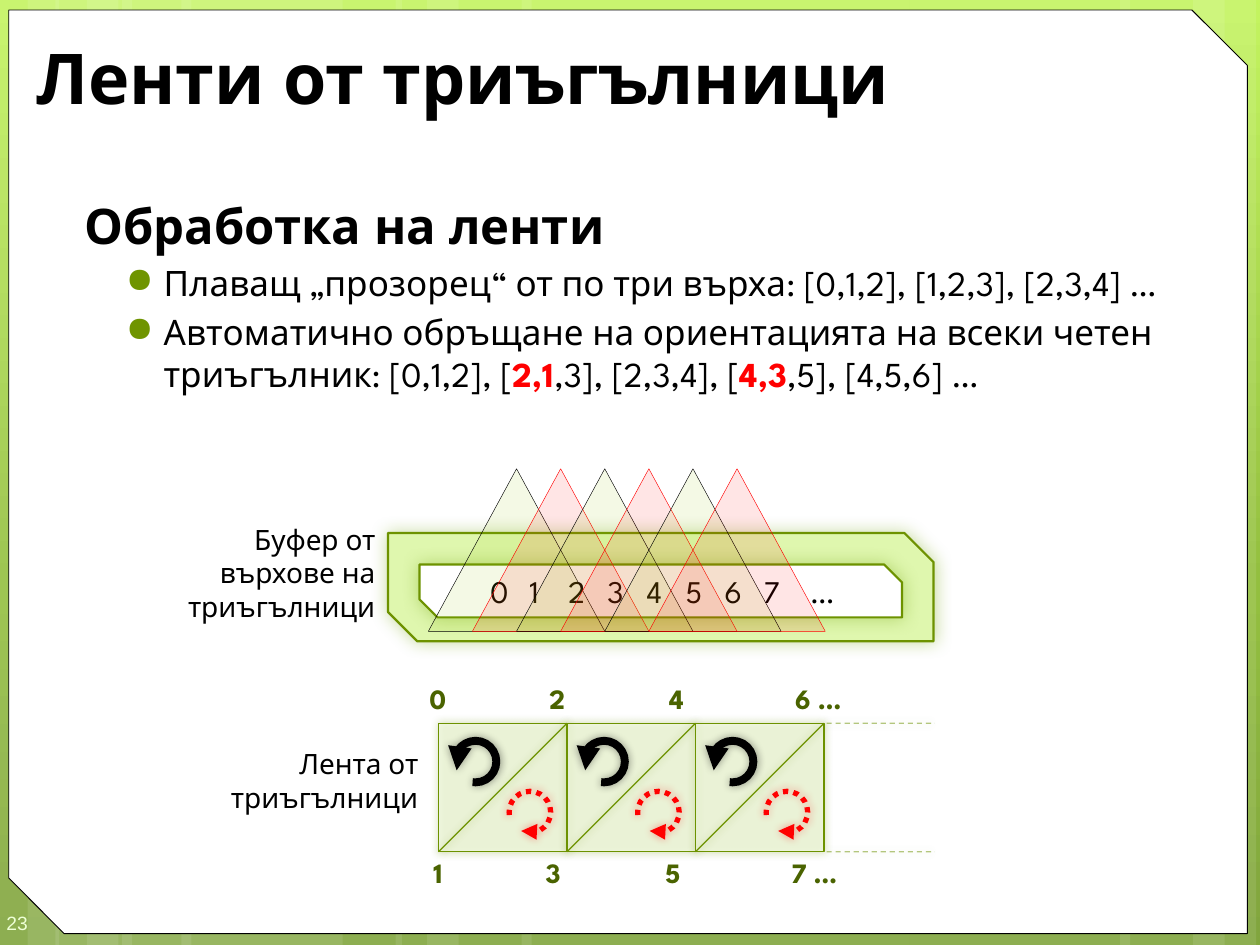
import pptx
import pptx.util
import pptx.dml.color
import pptx.enum.shapes
import pptx.enum.text
import pptx.oxml
import pptx.oxml.ns

Inches = pptx.util.Inches
Pt = pptx.util.Pt
KIND = pptx.enum.shapes.MSO_SHAPE
ALIGN = pptx.enum.text.PP_ALIGN
ANCHOR = pptx.enum.text.MSO_ANCHOR
qn = pptx.oxml.ns.qn

# Content
FACE = "League Spartan"
GREEN, RED, BLACK, WHITE = "6D9200", "FF0000", "000000", "FFFFFF"
PALE = "6F9400"
SKY = [(0, "C3F35F"), (62, "93BF3F"), (100, "81A53E")]
BANDS = [(0.97, 1.75), (0, 0.47), (0.22, 0.83), (1.44, 1.75), (0.44, 0.5),
         (0.69, 0.83), (7.22, 1.75), (9.47, 0.5), (8.89, 0.83),
         (4.14, 3.08), (3.14, 0.5), (3.39, 0.83)]
TITLE = "Ленти от триъгълници"
HEAD = "Обработка на ленти"
POINTS = [
    [("Плаващ „прозорец“ от по три върха: [0,1,2], [1,2,3], [2,3,4] …", 0)],
    [("Автоматично обръщане на ориентацията на всеки четен триъгълник: "
      "[0,1,2], [", 0), ("2,1", 1), (",3], [2,3,4], [", 0), ("4,3", 1),
     (",5], [4,5,6] …", 0)],
]
BUFFER = ["0", "1", "2", "3", "4", "5", "6", "7", "…"]
ROWS = [  # left, top, labels, tab stops
    (3.41, 5.33, ["0", "2", "4", "6 …"], [0.95, 1.9, 2.9]),
    (3.44, 6.71, ["1", "3", "5", "7 …"], [0.89, 1.84, 2.84]),
]
NOTES = [((1.67, 5.98, 1.65, 0.43), "Лента от триъгълници"),
         ((1.33, 4.14, 1.65, 0.81), "Буфер от върхове на триъгълници")]


def rgb(code):
    return pptx.dml.color.RGBColor.from_string(code)


def add(host, tag, **attrs):
    node = host.makeelement(qn(tag), {k: str(v) for k, v in attrs.items()})
    host.append(node)
    return node


def paint(fill, code, alpha=100):
    fill.solid()
    fill.fore_color.rgb = rgb(code)
    if alpha < 100:
        node = fill._xPr.find(qn("a:solidFill"))[0]
        add(node, "a:alpha", val=alpha * 1000)


def stroke(item, code, width, dash=None, alpha=100, tail=False):
    paint(item.line.fill, code, alpha)
    item.line.width = Pt(width)
    ln = item.line._get_or_add_ln()
    if dash:
        add(ln, "a:prstDash", val=dash)
    if tail:
        add(ln, "a:tailEnd", type="triangle")


def glow(item, code=None, blur=5):
    pr = item._element.spPr
    for old in pr.findall(qn("a:effectLst")):
        pr.remove(old)
    box = add(pr, "a:effectLst")
    if code:
        shade = add(box, "a:outerShdw", blurRad=Pt(blur), dist=0, dir=0,
                    algn="ctr", rotWithShape=0)
        add(add(shade, "a:srgbClr", val=code), "a:alpha", val=40000)


def shape(kind, at, fill=None, line=None, adj=(), halo=None, turn=0):
    item = deck.shapes.add_shape(kind, *map(Inches, at))
    item.shadow.inherit = False
    for i, val in enumerate(adj):
        item.adjustments[i] = val
    if fill:
        paint(item.fill, *fill)
    else:
        item.fill.background()
    if line:
        stroke(item, *line)
    else:
        item.line.fill.background()
    if halo:
        glow(item, *halo)
    item.rotation = turn
    return item


def link(x1, y1, x2, y2, *line):
    item = deck.shapes.add_connector(
        pptx.enum.shapes.MSO_CONNECTOR.STRAIGHT,
        *map(Inches, (x1, y1, x2, y2)))
    stroke(item, *line)
    glow(item, PALE)


def frame(item, ins=(0.1, 0.05, 0.1, 0.05), anchor=ANCHOR.MIDDLE):
    body = item.text_frame
    sides = ("left", "top", "right", "bottom")
    form = {"margin_" + s: Inches(v) for s, v in zip(sides, ins)}
    form.update(word_wrap=True, vertical_anchor=anchor)
    for key, val in form.items():
        setattr(body, key, val)
    return body


def box(at, *rest):
    return frame(deck.shapes.add_textbox(*map(Inches, at)), *rest)


def write(para, text, size, code=BLACK, bold=False, face=FACE):
    run = para.add_run()
    run.text = text
    form = {"size": Pt(size), "bold": bold, "name": face}
    for key, val in form.items():
        setattr(run.font, key, val)
    run.font.color.rgb = rgb(code)


def tabs(para, stops):
    host = add(para._p.get_or_add_pPr(), "a:tabLst")
    for stop in stops:
        add(host, "a:tab", pos=Inches(stop), algn="l")


show = pptx.Presentation()
show.slide_width, show.slide_height = Inches(10), Inches(7.5)
deck = show.slides.add_slide(show.slide_layouts[6])

# Background and white panel
back = deck.background.fill
back.gradient()
grad = back._xPr.find(qn("a:gradFill"))
for node in list(grad):
    grad.remove(node)
stops = add(grad, "a:gsLst")
for spot, code in SKY:
    add(add(stops, "a:gs", pos=spot * 1000), "a:srgbClr", val=code)
add(grad, "a:lin", ang=90 * 60000, scaled=0)
for x, w in BANDS:
    shape(KIND.RECTANGLE, (x, 0, w, 7.5), (WHITE, 10))
shape(KIND.SNIP_2_DIAG_RECTANGLE, (0.07, 0.08, 9.83, 7.33), (WHITE,),
      (BLACK, 0.5), (0, 0.06))

# Page number, title and body
page = box((0, 7.1, 0.58, 0.4), (0.05, 0.15, 0, 0.1))
write(page.paragraphs[0], "23", 11, "EEFFD6", face="Arial")
write(box((0.19, 0.25, 9.47, 0.71)).paragraphs[0], TITLE, 40, bold=True)
body = box((0.5, 1.5, 9.42, 5.92), (0.1, 0.05, 0.1, 0.05), ANCHOR.TOP)
head = body.paragraphs[0]
head._p.get_or_add_pPr().set("marL", str(Inches(0.07)))
write(head, HEAD, 28, bold=True)
for point in POINTS:
    para = body.add_paragraph()
    pr = para._p.get_or_add_pPr()
    pr.set("marL", str(Inches(0.7)))
    pr.set("indent", str(Inches(-0.3)))
    add(add(pr, "a:buClr"), "a:srgbClr", val=PALE)
    add(pr, "a:buChar", char="●")
    para.space_before = Pt(4)
    for text, hot in point:
        write(para, text, 20, RED if hot else BLACK, bool(hot))

# Strip of triangles
LEFT, TOP, SIDE = 3.48, 5.74, 1.02
thin = (GREEN, 0.75)
for i in range(3):
    x = LEFT + i * SIDE
    shape(KIND.RECTANGLE, (x, TOP, SIDE, SIDE), ("F4FCE4", 60), thin,
          halo=(PALE,))
    link(x, TOP + SIDE, x + SIDE, TOP, *thin)
for y in (TOP, TOP + SIDE):
    link(6.56, y, 7.42, y, "6B9100", 0.75, "dash", 50)

# Vertex buffer
for at, code, cut in [((3.08, 4.23, 4.33, 0.86), "DFF7AE", 0.27),
                      ((3.33, 4.48, 3.83, 0.42), WHITE, 0.34)]:
    slot = shape(KIND.SNIP_2_DIAG_RECTANGLE, at, (code,), (GREEN, 1.25),
                 (0, cut), ("74A510", 10))
para = frame(slot, (0.49, 0.05, 0, 0.05)).paragraphs[0]
para.alignment = ALIGN.LEFT
tabs(para, [0.31 * i for i in range(1, 8)] + [2.54])
write(para, "\t".join(BUFFER), 18)

# Sliding window
for i in range(6):
    fill, edge = ((RED, RED) if i % 2 else ("94C600", BLACK))
    shape(KIND.ISOSCELES_TRIANGLE, (3.4 + 0.35 * i, 3.72, 1.4, 1.29),
          (fill, 10), (edge, 0.25))

# Turning arrows
for i in range(3):
    for dx, dy, turn, line in [
            (0.13, 0.14, 90, (BLACK, 4.5, None, 100, True)),
            (0.56, 0.54, 180, (RED, 3, "sysDot", 100, True))]:
        at = (LEFT + i * SIDE + dx, TOP + dy, 0.33, 0.33)
        arc = shape(KIND.ARC, at, None, line, (211.11, 176.91),
                    (line[0],), turn)
        if turn == 90:
            arc._element.spPr.find(qn("a:xfrm")).set("flipV", "1")

# Vertex numbers and labels
FLAT = (0, 0.05, 0, 0.05)
for x, y, names, spots in ROWS:
    para = box((x, y, 3.98, 0.43), FLAT).paragraphs[0]
    tabs(para, spots)
    write(para, "\t".join(names), 16, "4A6300", True)
for at, text in NOTES:
    para = box(at, FLAT).paragraphs[0]
    para.alignment = ALIGN.RIGHT
    write(para, text, 16)

show.save("out.pptx")
